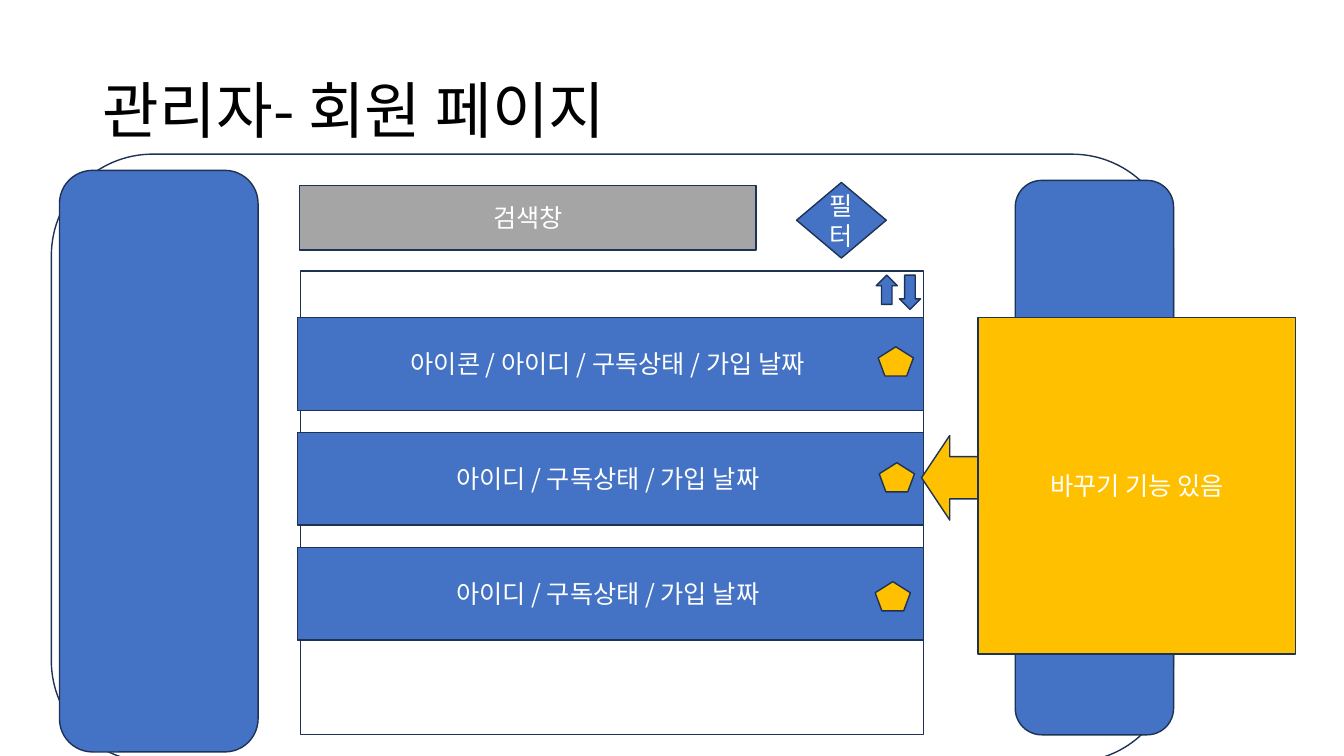
from dataclasses import dataclass

from lxml.etree import SubElement
from pptx import Presentation
from pptx.dml.color import RGBColor
from pptx.enum.shapes import MSO_SHAPE
from pptx.enum.text import MSO_ANCHOR, MSO_AUTO_SIZE, PP_ALIGN
from pptx.oxml.ns import qn
from pptx.slide import Slide
from pptx.text.text import TextFrame
from pptx.util import Inches, Pt

FONT = "Noto Sans CJK KR"
WHITE, BLACK, NAVY = "FFFFFF", "000000", "1E3256"
BLUE, GRAY, GOLD = "4472C4", "A5A5A5", "FFC000"


@dataclass
class Box:
    """A preset shape with its place in inches, fill and text."""
    kind: MSO_SHAPE
    left: float
    top: float
    width: float
    height: float
    fill: str = BLUE
    text: str = ""


ROW_TOP, ROW_STEP = 3.15, 1.14
MEMBER = "아이디 / 구독상태 / 가입 날짜 "
ROWS = ["아이콘 / " + MEMBER, MEMBER, MEMBER]
BADGES = [(8.71, 3.44), (8.72, 4.59), (8.68, 5.77)]

FRAME = [
    Box(MSO_SHAPE.ROUNDED_RECTANGLE, 0.51, 1.53, 11.13, 6.03, WHITE),
    Box(MSO_SHAPE.ROUNDED_RECTANGLE, 0.59, 1.69, 1.97, 5.77),
    Box(MSO_SHAPE.ROUNDED_RECTANGLE, 10.07, 1.79, 1.57, 5.5),
    Box(MSO_SHAPE.RECTANGLE, 2.97, 1.84, 4.53, 0.64, GRAY, "검색창"),
    Box(MSO_SHAPE.DIAMOND, 7.9, 1.81, 0.89, 0.75, BLUE, "필터"),
    Box(MSO_SHAPE.RECTANGLE, 2.98, 2.69, 6.18, 4.6, WHITE),
]
LIST = [
    Box(MSO_SHAPE.RECTANGLE, 2.95, ROW_TOP + i * ROW_STEP, 6.21, 0.92, BLUE, text)
    for i, text in enumerate(ROWS)
]
SORT = [
    Box(MSO_SHAPE.UP_ARROW, 8.69, 2.73, 0.21, 0.29),
    Box(MSO_SHAPE.DOWN_ARROW, 8.92, 2.73, 0.21, 0.34),
]
NOTE = [
    Box(MSO_SHAPE.LEFT_ARROW, 9.14, 4.32, 0.56, 0.84, GOLD),
    Box(MSO_SHAPE.RECTANGLE, 9.7, 3.15, 3.15, 3.34, GOLD, "바꾸기 기능 있음"),
]
MARKS = [
    Box(MSO_SHAPE.REGULAR_PENTAGON, left, top, 0.35, 0.29, GOLD)
    for left, top in BADGES
]


def color(code: str) -> RGBColor:
    """Turn a hex string into a colour."""
    return RGBColor.from_string(code)


def write(frame: TextFrame, text: str, *, size: float = 18, tint: str = WHITE,
          align: PP_ALIGN = PP_ALIGN.CENTER, space: float = 1.0) -> None:
    """Put formatted text in a frame, centred in height."""
    frame.word_wrap = True
    frame.auto_size = MSO_AUTO_SIZE.NONE
    frame.vertical_anchor = MSO_ANCHOR.MIDDLE
    para = frame.paragraphs[0]
    para.alignment = align
    para.line_spacing = space
    run = para.add_run()
    run.text = text
    run.font.size = Pt(size)
    run.font.color.rgb = color(tint)
    run.font.name = FONT
    SubElement(run.font._element, qn("a:ea"), typeface=FONT)


def draw(slide: Slide, box: Box) -> None:
    """Draw one box on the slide."""
    shape = slide.shapes.add_shape(
        box.kind, Inches(box.left), Inches(box.top),
        Inches(box.width), Inches(box.height))
    shape.shadow.inherit = False
    shape.fill.solid()
    shape.fill.fore_color.rgb = color(box.fill)
    shape.line.color.rgb = color(NAVY)
    shape.line.width = Pt(1)
    if box.text:
        write(shape.text_frame, box.text)


def main() -> None:
    """Build the member page slide and save it."""
    deck = Presentation()
    deck.slide_width, deck.slide_height = Inches(13.33), Inches(7.5)
    slide = deck.slides.add_slide(deck.slide_layouts.get_by_name("Title Only"))
    title = slide.shapes.title
    title.left, title.top = Inches(0.92), Inches(0.4)
    title.width, title.height = Inches(11.5), Inches(1.45)
    write(title.text_frame, "관리자- 회원 페이지", size=44, tint=BLACK,
          align=PP_ALIGN.LEFT, space=0.9)
    for box in FRAME + LIST + SORT + NOTE + MARKS:
        draw(slide, box)
    deck.save("out.pptx")


if __name__ == "__main__":
    main()
